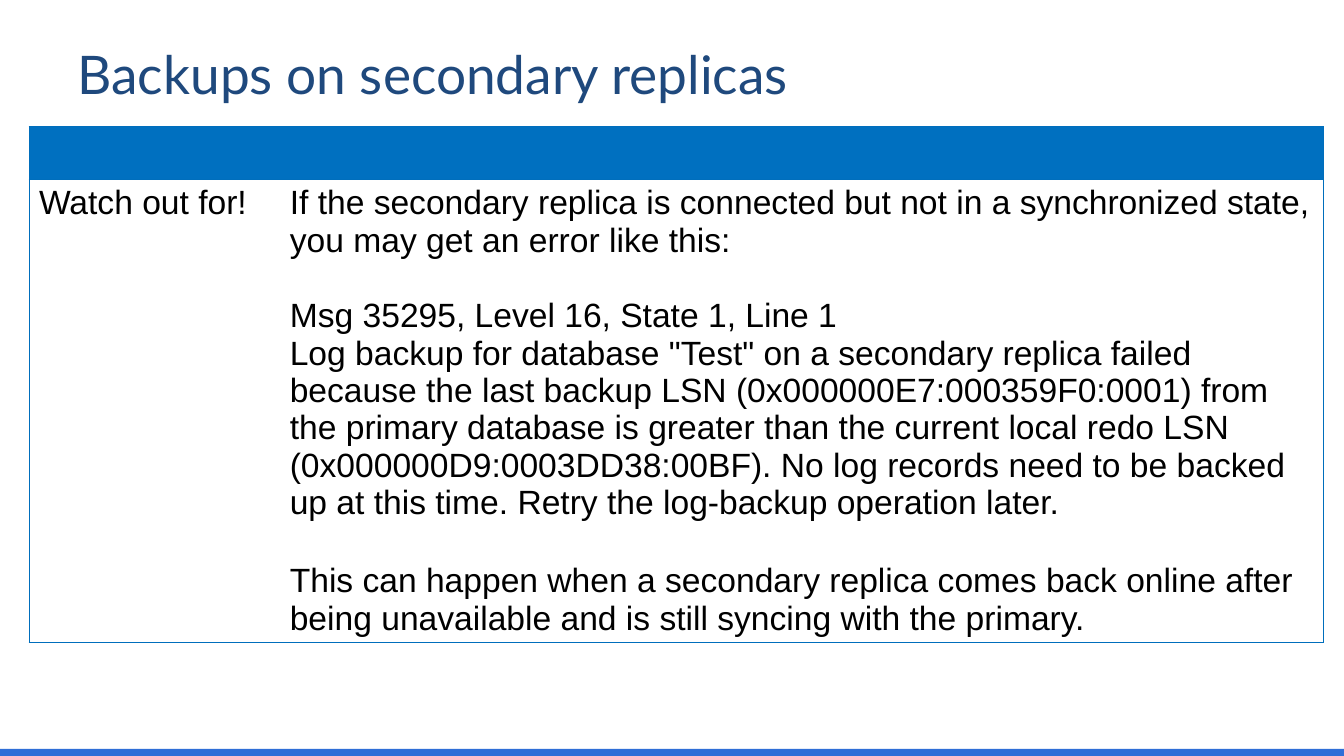
import pptx
import pptx.dml.color
import pptx.enum.shapes
import pptx.enum.text
import pptx.oxml
import pptx.oxml.ns
import pptx.util
from pptx.util import Cm

COLORS = {"title": "1F497D", "header": "0070C0", "border": "006EBC",
          "bar": "2F6ED7", "body": "FFFFFF", "text": "000000"}
SLIDE_WIDTH, SLIDE_HEIGHT = 33.87, 19.05
LABEL_WIDTH, HEADER_HEIGHT = 6.32, 1.33

# Each paragraph: text and the points of space before it
WARNING = [
    ("If the secondary replica is connected but not in a synchronized state, "
     "you may get an error like this:", 0),
    ("Msg 35295, Level 16, State 1, Line 1", 27),
    ('Log backup for database "Test" on a secondary replica failed because the '
     "last backup LSN (0x000000E7:000359F0:0001) from the primary database is "
     "greater than the current local redo LSN (0x000000D9:0003DD38:00BF). "
     "No log records need to be backed up at this time. "
     "Retry the log-backup operation later.", 0),
    ("This can happen when a secondary replica comes back online after being "
     "unavailable and is still syncing with the primary.", 29),
]


def color(name):
    return pptx.dml.color.RGBColor.from_string(COLORS[name])


def add_span(para, text, font, size, color_name):
    span = para.add_run()
    span.text = text
    span.font.name = font
    span.font.size = pptx.util.Pt(size)
    span.font.bold = False
    span.font.color.rgb = color(color_name)


def add_title(page, left, top, width, height):
    title = page.shapes.title
    title.left, title.top, title.width, title.height = map(Cm, (left, top, width, height))
    frame = title.text_frame
    frame.vertical_anchor = pptx.enum.text.MSO_ANCHOR.MIDDLE
    para = frame.paragraphs[0]
    para.alignment = pptx.enum.text.PP_ALIGN.LEFT
    add_span(para, "Backups on secondary replicas", "Lato", 38, "title")


def set_borders(cell, visible):
    """Draw the sides named in visible (from L, R, T, B) and clear the others."""
    properties = cell._tc.get_or_add_tcPr()
    for index, side in enumerate("LRTB"):
        paint = (f'<a:solidFill><a:srgbClr val="{COLORS["border"]}"/></a:solidFill>'
                 if side in visible else "<a:noFill/>")
        line = pptx.oxml.parse_xml(
            f'<a:ln{side} {pptx.oxml.ns.nsdecls("a")} w="9525">{paint}</a:ln{side}>')
        properties.insert(index, line)


def fill_cell(cell, paragraphs):
    for index, (text, space) in enumerate(paragraphs):
        frame = cell.text_frame
        para = frame.add_paragraph() if index else frame.paragraphs[0]
        if space:
            para.space_before = pptx.util.Pt(space)
        add_span(para, text, "Arial", 24, "text")


def add_warning_table(page, left, top, width, height):
    table = page.shapes.add_table(2, 2, Cm(left), Cm(top), Cm(width), Cm(height)).table
    table.horz_banding = False
    table.columns[0].width = Cm(LABEL_WIDTH)
    table.columns[1].width = Cm(width - LABEL_WIDTH)
    table.rows[0].height = Cm(HEADER_HEIGHT)
    table.rows[1].height = Cm(height - HEADER_HEIGHT)
    for row, (fill, sides) in enumerate([("header", "T"), ("body", "TB")]):
        for column, outer_side in enumerate("LR"):
            cell = table.cell(row, column)
            cell.fill.solid()
            cell.fill.fore_color.rgb = color(fill)
            set_borders(cell, sides + outer_side)
    fill_cell(table.cell(1, 0), [("Watch out for!", 0)])
    fill_cell(table.cell(1, 1), WARNING)


def add_bottom_bar(page, left, top, width, height):
    bar = page.shapes.add_shape(pptx.enum.shapes.MSO_SHAPE.RECTANGLE,
                                Cm(left), Cm(top), Cm(width), Cm(height))
    bar.shadow.inherit = False
    bar.fill.solid()
    bar.fill.fore_color.rgb = color("bar")
    bar.line.fill.background()


def main():
    deck = pptx.Presentation()
    deck.slide_width, deck.slide_height = Cm(SLIDE_WIDTH), Cm(SLIDE_HEIGHT)
    page = deck.slides.add_slide(deck.slide_layouts.get_by_name("Title Only"))
    bar_height = 0.18
    add_bottom_bar(page, 0, SLIDE_HEIGHT - bar_height, SLIDE_WIDTH, bar_height)
    add_title(page, 1.7, 0.25, 30.58, 3.18)
    add_warning_table(page, 0.73, 3.19, 32.61, 12.97)
    deck.save("out.pptx")


if __name__ == "__main__":
    main()
